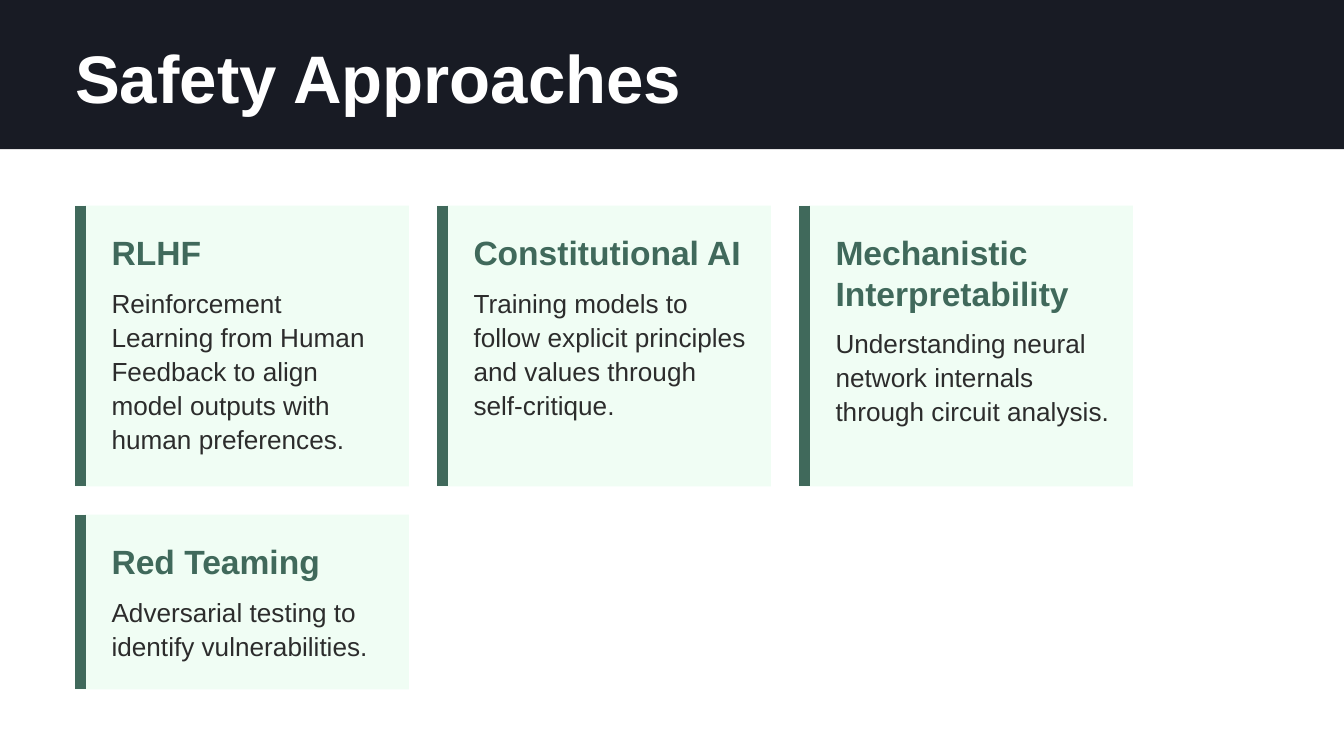
import pptx
import pptx.dml.color
import pptx.enum.shapes
import pptx.enum.text
import pptx.oxml
import pptx.util

SLIDE_WIDTH = 10
SLIDE_HEIGHT = SLIDE_WIDTH * 9 / 16
MARGIN = 0.56
BAND_HEIGHT = 1.11
GRID_TOP = 1.53
GRID_WIDTH = 7.87
COLUMNS = 3
GAP = 0.21
CARD_WIDTH = (GRID_WIDTH - (COLUMNS - 1) * GAP) / COLUMNS
ROW_HEIGHTS = [2.09, 1.3]
HEADING_LINE = 0.3

NAVY, GREEN, MINT, INK, WHITE = "181B24", "40695B", "F0FDF4", "2C2C2C", "FFFFFF"

CARDS = [
    ("RLHF", 1, "Reinforcement Learning from Human Feedback to align model outputs with human preferences."),
    ("Constitutional AI", 1, "Training models to follow explicit principles and values through self-critique."),
    ("Mechanistic Interpretability", 2, "Understanding neural network internals through circuit analysis."),
    ("Red Teaming", 1, "Adversarial testing to identify vulnerabilities."),
]


def color(value):
    """Turn a hex string into a colour."""
    return pptx.dml.color.RGBColor.from_string(value)


def inches(*lengths):
    """Convert lengths in inches to slide units."""
    return [pptx.util.Inches(length) for length in lengths]


def add_panel(slide, box, fill):
    """Add a plain filled rectangle."""
    shape = slide.shapes.add_shape(pptx.enum.shapes.MSO_SHAPE.RECTANGLE, *inches(*box))
    shape.shadow.inherit = False
    shape.fill.solid()
    shape.fill.fore_color.rgb = color(fill)
    shape.line.fill.background()
    return shape


def write_text(shape, text, size, fill, line_height, bold=False):
    """Write one left-aligned paragraph into a shape without insets."""
    frame = shape.text_frame
    frame.margin_left = frame.margin_top = frame.margin_right = frame.margin_bottom = 0
    frame.word_wrap = True
    frame.auto_size = pptx.enum.text.MSO_AUTO_SIZE.NONE
    frame.vertical_anchor = pptx.enum.text.MSO_ANCHOR.TOP
    paragraph = frame.paragraphs[0]
    paragraph.alignment = pptx.enum.text.PP_ALIGN.LEFT
    paragraph.line_spacing = pptx.util.Pt(line_height)
    run = paragraph.add_run()
    run.text = text
    run.font.name = "Arial"
    run.font.size = pptx.util.Pt(size)
    run.font.bold = bold
    run.font.color.rgb = color(fill)


def add_header(slide, box, text):
    """Place the title on a dark band filling the box."""
    left, top, width, height = box
    title = slide.shapes.title
    title.left, title.top, title.width, title.height = inches(
        left + MARGIN, top + 0.26, width * 0.46, 0.57)
    write_text(title, text, 36, WHITE, 44, bold=True)
    band = add_panel(slide, box, NAVY)
    title.element.addprevious(band.element)


def add_accent(slide, box):
    """Draw the thick line along the left edge of a box."""
    left, top, width, height = box
    x = left + 0.04
    accent = slide.shapes.add_connector(
        pptx.enum.shapes.MSO_CONNECTOR.STRAIGHT, *inches(x, top, x, top + height))
    accent.line.color.rgb = color(GREEN)
    accent.line.width = pptx.util.Pt(6)
    accent.element.spPr.append(pptx.oxml.parse_xml(
        '<a:effectLst xmlns:a="http://schemas.openxmlformats.org/drawingml/2006/main"/>'))


def add_card(slide, box, heading, heading_lines, body):
    """Place a panel with an accent line, a heading and a body text."""
    left, top, width, height = box
    add_panel(slide, box, MINT)
    add_accent(slide, box)
    text_left, text_width = left + 0.27, width - 0.43
    heading_height = heading_lines * HEADING_LINE
    body_top = top + 0.29 + heading_height
    heading_box = slide.shapes.add_textbox(
        *inches(text_left, top + 0.19, text_width, heading_height))
    write_text(heading_box, heading, 18, GREEN, 22, bold=True)
    body_box = slide.shapes.add_textbox(
        *inches(text_left, body_top, text_width, top + height - 0.2 - body_top))
    write_text(body_box, body, 14, INK, 18.2)


def add_card_grid(slide, left, top):
    """Lay the cards out row by row from the given corner."""
    for index, card in enumerate(CARDS):
        row, column = divmod(index, COLUMNS)
        card_left = left + column * (CARD_WIDTH + GAP)
        card_top = top + sum(ROW_HEIGHTS[:row]) + row * GAP
        add_card(slide, (card_left, card_top, CARD_WIDTH, ROW_HEIGHTS[row]), *card)


def main():
    """Build and save the presentation."""
    presentation = pptx.Presentation()
    presentation.slide_width, presentation.slide_height = inches(SLIDE_WIDTH, SLIDE_HEIGHT)
    slide = presentation.slides.add_slide(presentation.slide_layouts.get_by_name("Title Only"))
    slide.background.fill.solid()
    slide.background.fill.fore_color.rgb = color(WHITE)
    add_header(slide, (0, 0, SLIDE_WIDTH, BAND_HEIGHT), "Safety Approaches")
    add_card_grid(slide, MARGIN, GRID_TOP)
    presentation.save("out.pptx")


if __name__ == "__main__":
    main()
